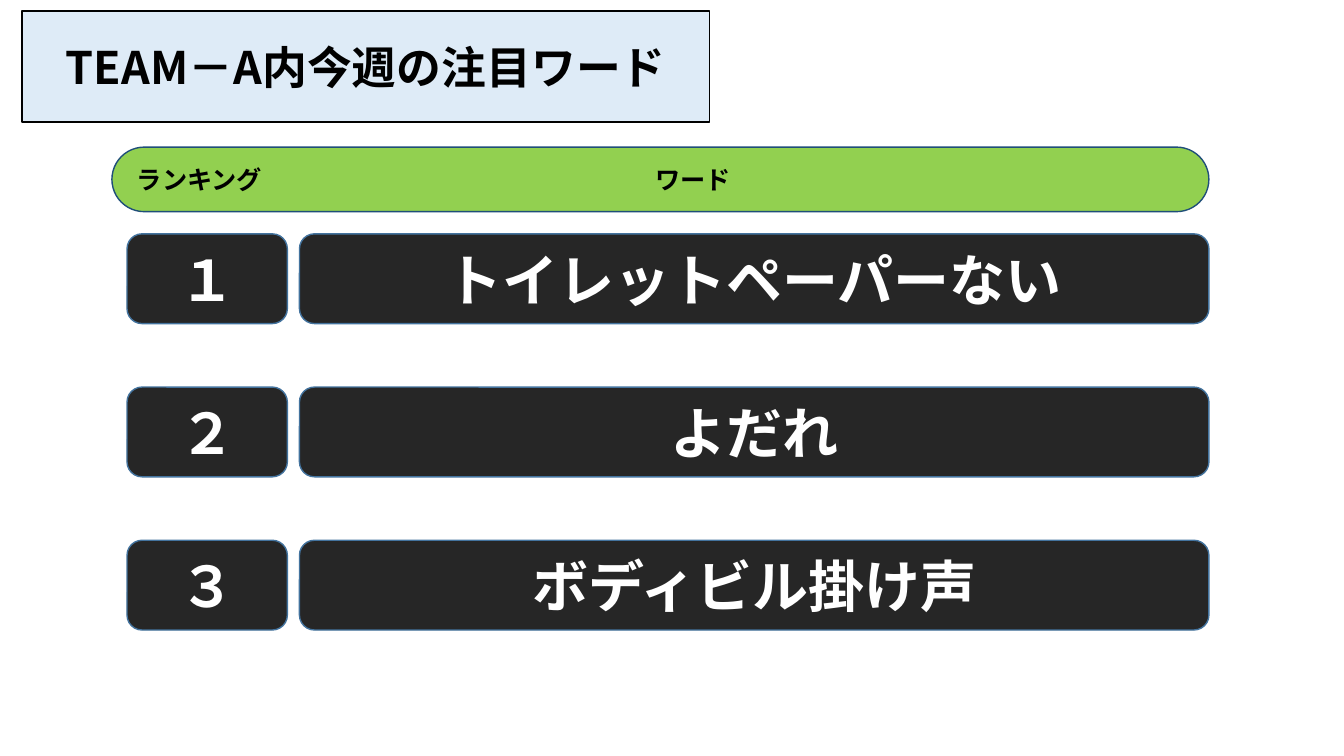
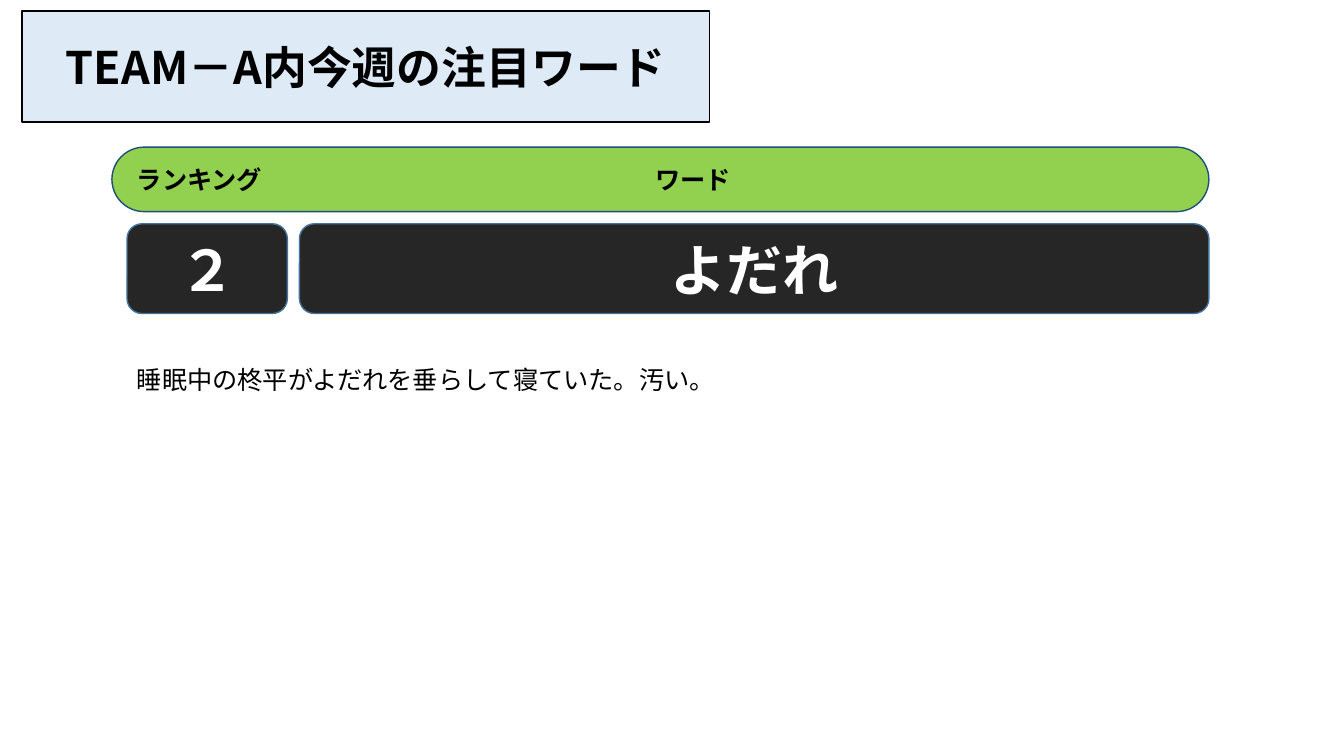
import pptx
import pptx.dml.color
import pptx.enum.shapes
import pptx.enum.text
import pptx.oxml
import pptx.oxml.ns
import pptx.util
from pptx.util import Inches

FONT = "Noto Sans CJK JP"
BLACK, WHITE = "000000", "FFFFFF"
TITLE_FILL = "DEEBF7"
HEADER_FILL, HEADER_LINE = "92D050", "1F4E79"
ENTRY_FILL, ENTRY_LINE = "262626", "43739E"

RANK_LEFT, RANK_WIDTH = 1.26, 1.59
WORD_LEFT, WORD_WIDTH = 2.97, 9.02
ENTRY_HEIGHT, ENTRY_PITCH = 0.89, 1.52

RECT = pptx.enum.shapes.MSO_SHAPE.RECTANGLE
ROUNDED = pptx.enum.shapes.MSO_SHAPE.ROUNDED_RECTANGLE
LEFT = pptx.enum.text.PP_ALIGN.LEFT
CENTER = pptx.enum.text.PP_ALIGN.CENTER

WORDS = ["トイレットペーパーない", "よだれ", "ボディビル掛け声"]
RANKS = "１２３"


def rgb(value):
    return pptx.dml.color.RGBColor.from_string(value)


def write(frame, text, size, color, bold=True, align=CENTER):
    paragraph = frame.paragraphs[0]
    paragraph.text = text
    paragraph.alignment = align
    font = paragraph.font
    font.size = pptx.util.Pt(size)
    font.bold = bold
    font.color.rgb = rgb(color)
    font.name = FONT
    # Japanese glyphs take the East Asian typeface, which follows a:latin.
    latin = paragraph._p.find(".//" + pptx.oxml.ns.qn("a:latin"))
    east_asian = pptx.oxml.parse_xml(
        f'<a:ea {pptx.oxml.ns.nsdecls("a")} typeface="{FONT}"/>')
    latin.addnext(east_asian)


def add_box(slide, kind, left, top, width, height, fill, line):
    box = slide.shapes.add_shape(
        kind, Inches(left), Inches(top), Inches(width), Inches(height))
    box.shadow.inherit = False
    box.fill.solid()
    box.fill.fore_color.rgb = rgb(fill)
    box.line.color.rgb = rgb(line)
    box.line.width = pptx.util.Pt(1)
    box.text_frame.vertical_anchor = pptx.enum.text.MSO_ANCHOR.MIDDLE
    return box


def add_label(slide, text, left, top, width, bold=True, wrap=False):
    label = slide.shapes.add_textbox(
        Inches(left), Inches(top), Inches(width), Inches(0.4))
    frame = label.text_frame
    frame.word_wrap = wrap
    frame.auto_size = pptx.enum.text.MSO_AUTO_SIZE.SHAPE_TO_FIT_TEXT
    write(frame, text, 18, BLACK, bold, LEFT)


def add_ranking_slide(deck):
    """Add a slide with the title and the column header band."""
    slide = deck.slides.add_slide(deck.slide_layouts[6])
    title = add_box(slide, RECT, 0.22, 0.11, 6.82, 1.1, TITLE_FILL, BLACK)
    write(title.text_frame, "TEAM－A内今週の注目ワード", 32, BLACK)
    header = add_box(slide, ROUNDED, 1.11, 1.46, 10.88, 0.64,
                     HEADER_FILL, HEADER_LINE)
    header.adjustments[0] = 0.5
    add_label(slide, "ランキング", RANK_LEFT, 1.58, 1.46)
    add_label(slide, "ワード", 6.4, 1.58, 0.96)
    return slide


def add_entry(slide, index, top):
    """Add the rank box and word box of one entry."""
    for text, left, width in ((RANKS[index], RANK_LEFT, RANK_WIDTH),
                              (WORDS[index], WORD_LEFT, WORD_WIDTH)):
        box = add_box(slide, ROUNDED, left, top, width, ENTRY_HEIGHT,
                      ENTRY_FILL, ENTRY_LINE)
        write(box.text_frame, text, 40, WHITE)


def main():
    deck = pptx.Presentation()
    deck.slide_width, deck.slide_height = Inches(13.33), Inches(7.5)

    overview = add_ranking_slide(deck)
    for index in range(len(WORDS)):
        add_entry(overview, index, 2.32 + index * ENTRY_PITCH)

    detail = add_ranking_slide(deck)
    add_entry(detail, 1, 2.22)
    add_label(detail, "睡眠中の柊平がよだれを垂らして寝ていた。汚い。",
              RANK_LEFT, 3.57, 10.91, bold=False, wrap=True)

    deck.save("out.pptx")


if __name__ == "__main__":
    main()
